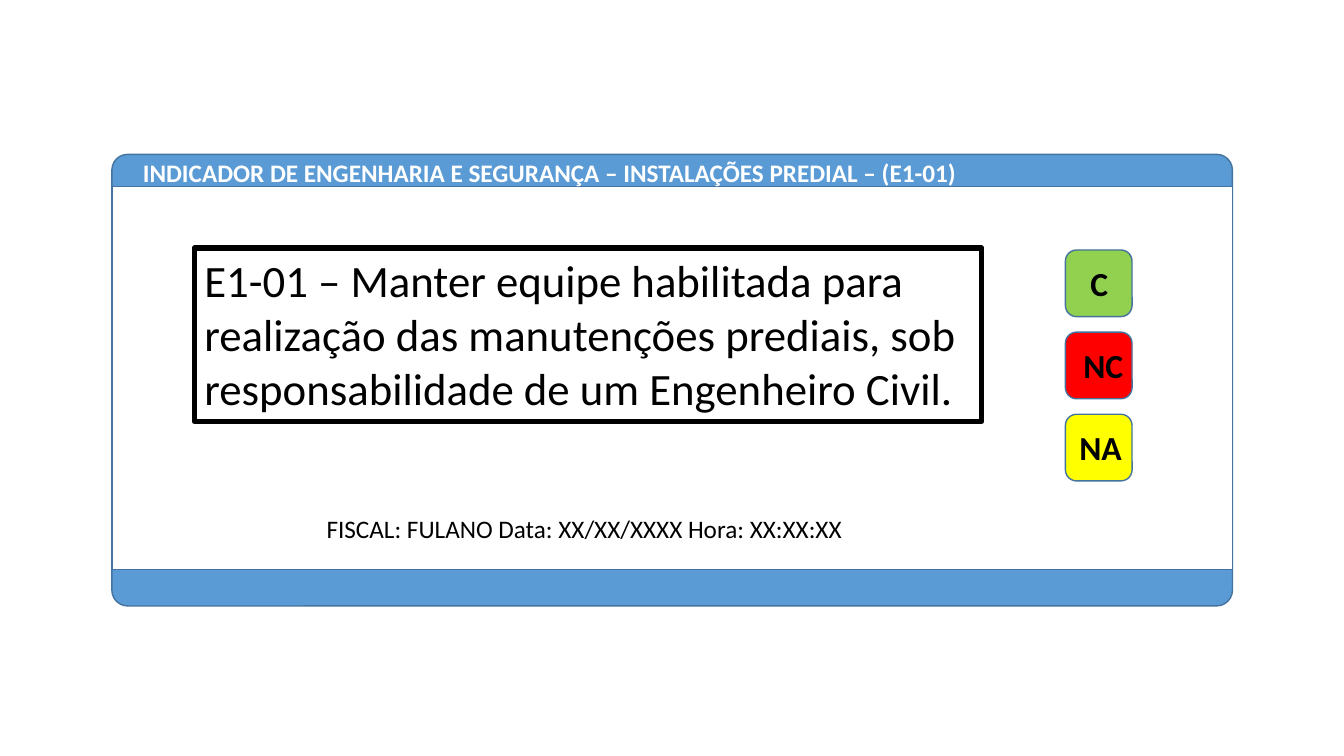
from pptx import Presentation
from pptx.dml.color import RGBColor
from pptx.enum.shapes import MSO_SHAPE
from pptx.util import Cm, Pt

RECTANGLE = MSO_SHAPE.RECTANGLE
ROUNDED = MSO_SHAPE.ROUNDED_RECTANGLE


def color(value):
    return RGBColor.from_string(value)


class Card:
    """Draws the elements of an inspection card on one slide."""

    font = "Calibri"
    blue = "5B9BD5"
    outline = "43739E"
    white = "FFFFFF"
    black = "000000"

    def __init__(self, page):
        self.page = page
        self.shapes = page.shapes

    def start_group(self):
        self.shapes = self.page.shapes.add_group_shape().shapes

    def end_group(self):
        self.shapes = self.page.shapes

    def panel(self, kind, left, top, width, height, fill, radius=None):
        shape = self.shapes.add_shape(kind, Cm(left), Cm(top), Cm(width), Cm(height))
        shape.shadow.inherit = False
        shape.fill.solid()
        shape.fill.fore_color.rgb = color(fill)
        shape.line.color.rgb = color(self.outline)
        shape.line.width = Pt(1)
        if radius is not None:
            shape.adjustments[0] = radius

    def text(self, words, left, top, width, height, size, ink=black, bold=False):
        box = self.shapes.add_textbox(Cm(left), Cm(top), Cm(width), Cm(height))
        box.text_frame.word_wrap = True
        span = box.text_frame.paragraphs[0].add_run()
        span.text = words
        span.font.name = self.font
        span.font.size = Pt(size)
        span.font.bold = bold
        span.font.color.rgb = color(ink)
        return box

    def framed_text(self, words, left, top, width, height, size):
        box = self.text(words, left, top, width, height, size)
        box.line.color.rgb = color(self.black)
        box.line.width = Pt(3.75)

    def button(self, label, top, fill, indent, width):
        self.panel(ROUNDED, 26.85, top, 1.68, 1.68, fill)
        self.text(label, 26.85 + indent, top + 0.2, width, 1.27, 24, bold=True)


def main():
    deck = Presentation()
    deck.slide_width = Cm(33.87)
    deck.slide_height = Cm(19.05)
    card = Card(deck.slides.add_slide(deck.slide_layouts[6]))

    card.start_group()
    card.panel(ROUNDED, 2.82, 3.89, 28.24, 11.38, card.blue, 0.035)
    card.panel(RECTANGLE, 2.82, 4.7, 28.24, 9.65, card.white)
    card.text("INDICADOR DE ENGENHARIA E SEGURANÇA – INSTALAÇÕES PREDIAL – (E1-01)",
              3.35, 3.84, 27.36, 1.02, 18, card.white, True)

    card.start_group()
    buttons = [("C", "92D050", 0.38, 1.3),
               ("NC", "FF0000", 0.2, 1.68),
               ("NA", "FFFF00", 0.1, 1.88)]
    for row, (label, fill, indent, width) in enumerate(buttons):
        card.button(label, 6.3 + 2.07 * row, fill, indent, width)

    card.end_group()
    card.framed_text("E1-01 – Manter equipe habilitada para realização das manutenções "
                     "prediais, sob responsabilidade de um Engenheiro Civil.",
                     4.9, 6.25, 19.84, 4.37, 32)
    card.text("FISCAL: FULANO Data: XX/XX/XXXX Hora: XX:XX:XX", 7.98, 12.8, 13.72, 1.02, 18)
    deck.save("out.pptx")


if __name__ == "__main__":
    main()
